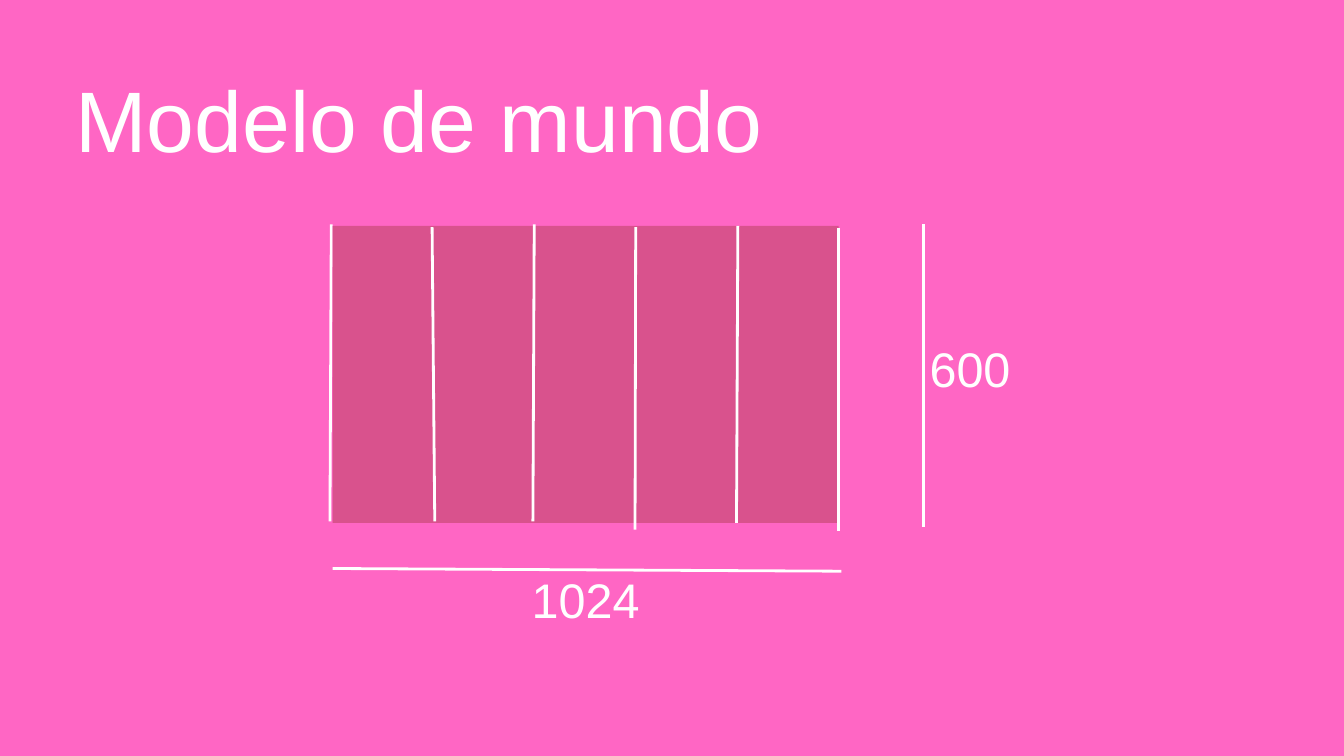
import pptx
import pptx.dml.color
import pptx.enum.shapes
import pptx.enum.text
import pptx.oxml.ns
import pptx.util
from lxml import etree
from pptx.util import Inches

PINK = "FF66C4"
DARK_PINK = "D9528D"
WHITE = "FFFFFF"

# Top x, top y, bottom x, bottom y of each column edge, left to right
LEFT_EDGE = (4.93, 3.34, 4.91, 7.76)
DIVIDERS = [
    (6.43, 3.38, 6.47, 7.76),
    (7.95, 3.34, 7.93, 7.76),
    (9.46, 3.38, 9.45, 7.88),
    (10.98, 3.36, 10.96, 7.78),
    (12.48, 3.4, 12.48, 7.9),
]
WIDTH_LINE = (12.52, 8.5, 4.95, 8.46)
HEIGHT_LINE = (13.74, 3.34, 13.74, 7.84)


def color(hex_value):
    return pptx.dml.color.RGBColor.from_string(hex_value)


def set_attributes(target, values):
    for name, value in values.items():
        setattr(target, name, value)


def set_background(slide, hex_value):
    fill = slide.background.fill
    fill.solid()
    fill.fore_color.rgb = color(hex_value)


def add_line(slide, ends):
    connector = slide.shapes.add_connector(
        pptx.enum.shapes.MSO_CONNECTOR.STRAIGHT, *map(Inches, ends))
    connector.line.color.rgb = color(WHITE)
    connector.line.width = pptx.util.Pt(3)
    etree.SubElement(connector._element.spPr, pptx.oxml.ns.qn("a:effectLst"))


def add_rectangle(slide, box, hex_value):
    shape = slide.shapes.add_shape(
        pptx.enum.shapes.MSO_SHAPE.RECTANGLE, *map(Inches, box))
    shape.shadow.inherit = False
    shape.fill.solid()
    shape.fill.fore_color.rgb = color(hex_value)
    shape.line.fill.background()


def add_text(slide, box, text, size, alignment):
    """Add a line of text whose line height is 1.4 times its size."""
    frame = slide.shapes.add_textbox(*map(Inches, box)).text_frame
    set_attributes(frame, {
        "margin_left": 0, "margin_top": 0, "margin_right": 0, "margin_bottom": 0,
        "word_wrap": True,
        "auto_size": pptx.enum.text.MSO_AUTO_SIZE.SHAPE_TO_FIT_TEXT,
    })
    paragraph = frame.paragraphs[0]
    set_attributes(paragraph, {
        "alignment": alignment,
        "line_spacing": pptx.util.Pt(size * 1.4),
    })
    run = paragraph.add_run()
    run.text = text
    set_attributes(run.font, {"name": "Arial", "size": pptx.util.Pt(size)})
    run.font.color.rgb = color(WHITE)


def main():
    presentation = pptx.Presentation()
    set_attributes(presentation, {
        "slide_width": Inches(20), "slide_height": Inches(11.25)})
    slide = presentation.slides.add_slide(presentation.slide_layouts[6])
    set_background(slide, PINK)

    add_line(slide, LEFT_EDGE)
    add_rectangle(slide, (4.95, 3.36, 7.53, 4.42), DARK_PINK)
    for divider in DIVIDERS:
        add_line(slide, divider)

    align = pptx.enum.text.PP_ALIGN
    add_text(slide, (13.76, 4.9, 1.35, 1.08), "600", 52, align.CENTER)
    add_text(slide, (7.78, 8.34, 1.87, 1.08), "1024", 52, align.CENTER)
    add_text(slide, (1.12, 0.74, 17.75, 1.91), "Modelo de mundo", 92, align.LEFT)

    for dimension_line in (WIDTH_LINE, HEIGHT_LINE):
        add_line(slide, dimension_line)

    presentation.save("out.pptx")


if __name__ == "__main__":
    main()
